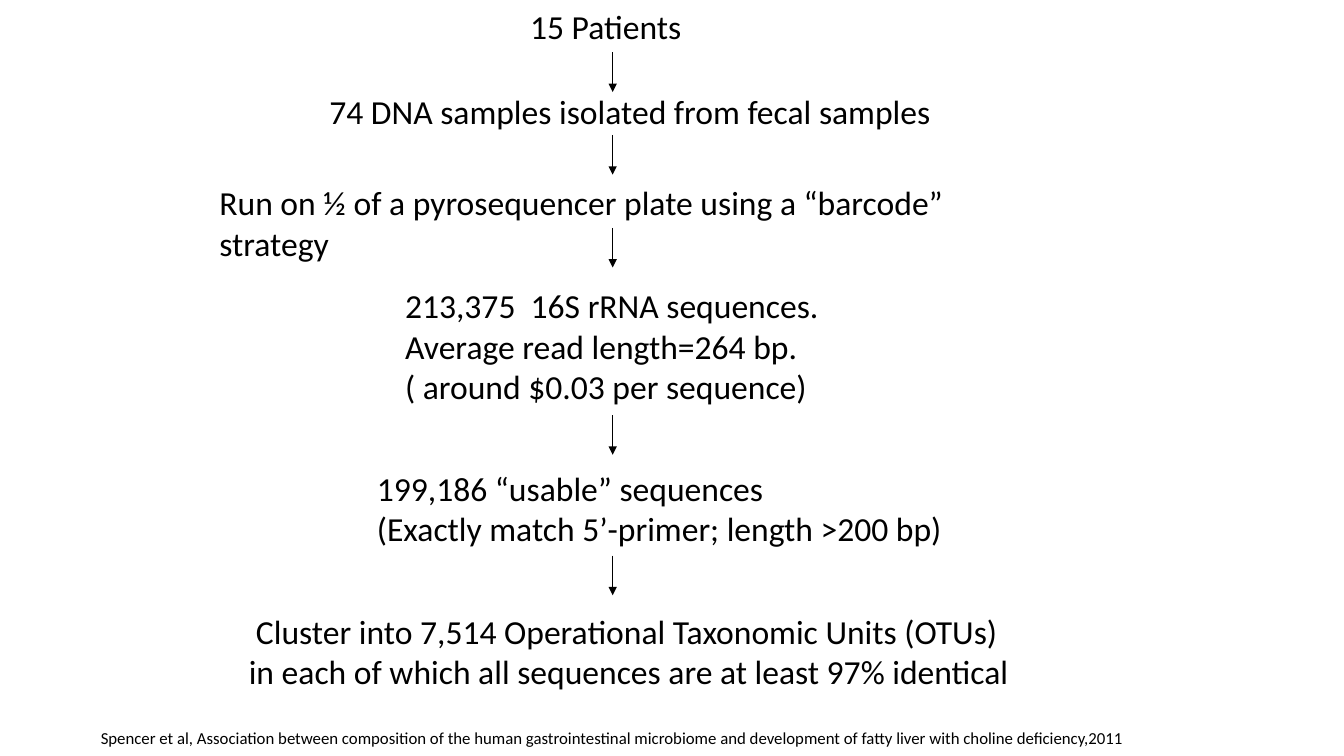
from pptx import Presentation
from pptx.dml.color import RGBColor
from pptx.enum.shapes import MSO_CONNECTOR
from pptx.enum.text import MSO_AUTO_SIZE
from pptx.oxml.ns import qn
from pptx.util import Cm, Pt
from lxml.etree import SubElement

BLACK = RGBColor(0, 0, 0)

# left, top, width, height in cm, then the lines of each step
STEPS = [
    (13.11, 0.03, 4.37, 1.27, ["15 Patients"]),
    (8.05, 2.16, 15.8, 1.3, ["74 DNA samples isolated from fecal samples"]),
    (5.28, 4.47, 21.34, 1.3,
     ["Run on ½ of a pyrosequencer plate using a “barcode” strategy"]),
    (9.96, 7.06, 11.4, 3.33,
     ["213,375  16S rRNA sequences.",
      "Average read length=264 bp.",
      "( around $0.03 per sequence)"]),
    (9.25, 11.66, 14.86, 2.31,
     ["199,186 “usable” sequences",
      "(Exactly match 5’-primer; length >200 bp)"]),
]
CLUSTER_LINES = ["Cluster into 7,514 Operational Taxonomic Units (OTUs)",
                 "in each of which all sequences are at least 97% identical"]
CITATION = ("Spencer et al, Association between composition of the human "
            "gastrointestinal microbiome and development of fatty liver "
            "with choline deficiency,2011")
ARROW_X = 15.44
ARROW_LENGTH = 1
ARROW_TOPS = [1.32, 3.4, 5.74, 10.46, 14]


class FlowPage:
    font_name = "Calibri"
    color = BLACK

    def __init__(self, deck):
        self.page = deck.slides.add_slide(deck.slide_layouts[6])

    def text(self, left, top, width, height, lines, size=24, wrap=False,
             indents=()):
        """Add a text box with one paragraph per line; indents are in cm."""
        box = self.page.shapes.add_textbox(Cm(left), Cm(top), Cm(width), Cm(height))
        frame = box.text_frame
        frame.word_wrap = wrap
        frame.auto_size = MSO_AUTO_SIZE.SHAPE_TO_FIT_TEXT
        frame.text = "\n".join(lines)
        for para in frame.paragraphs:
            para.font.name = self.font_name
            para.font.size = Pt(size)
            para.font.color.rgb = self.color
        for para, indent in zip(frame.paragraphs, indents):
            para._p.get_or_add_pPr().set("marL", str(Cm(indent)))

    def down_arrow(self, top):
        arrow = self.page.shapes.add_connector(
            MSO_CONNECTOR.STRAIGHT, Cm(ARROW_X), Cm(top),
            Cm(ARROW_X), Cm(top + ARROW_LENGTH))
        arrow.line.color.rgb = self.color
        arrow.line.width = Pt(0.75)
        SubElement(arrow.line._get_or_add_ln(), qn("a:tailEnd"), type="triangle")
        SubElement(arrow._element.spPr, qn("a:effectLst"))


def main():
    deck = Presentation()
    deck.slide_width, deck.slide_height = Cm(33.87), Cm(19.05)
    flow = FlowPage(deck)
    for step in STEPS:
        flow.text(*step)
    flow.text(4.88, 15.27, 20.98, 2.31, CLUSTER_LINES, wrap=True,
              indents=(1.32, 1.14))
    for top in ARROW_TOPS:
        flow.down_arrow(top)
    flow.text(2.29, 18.21, 31.5, 0.76, [CITATION], size=12, wrap=True)
    deck.save("out.pptx")


if __name__ == "__main__":
    main()
